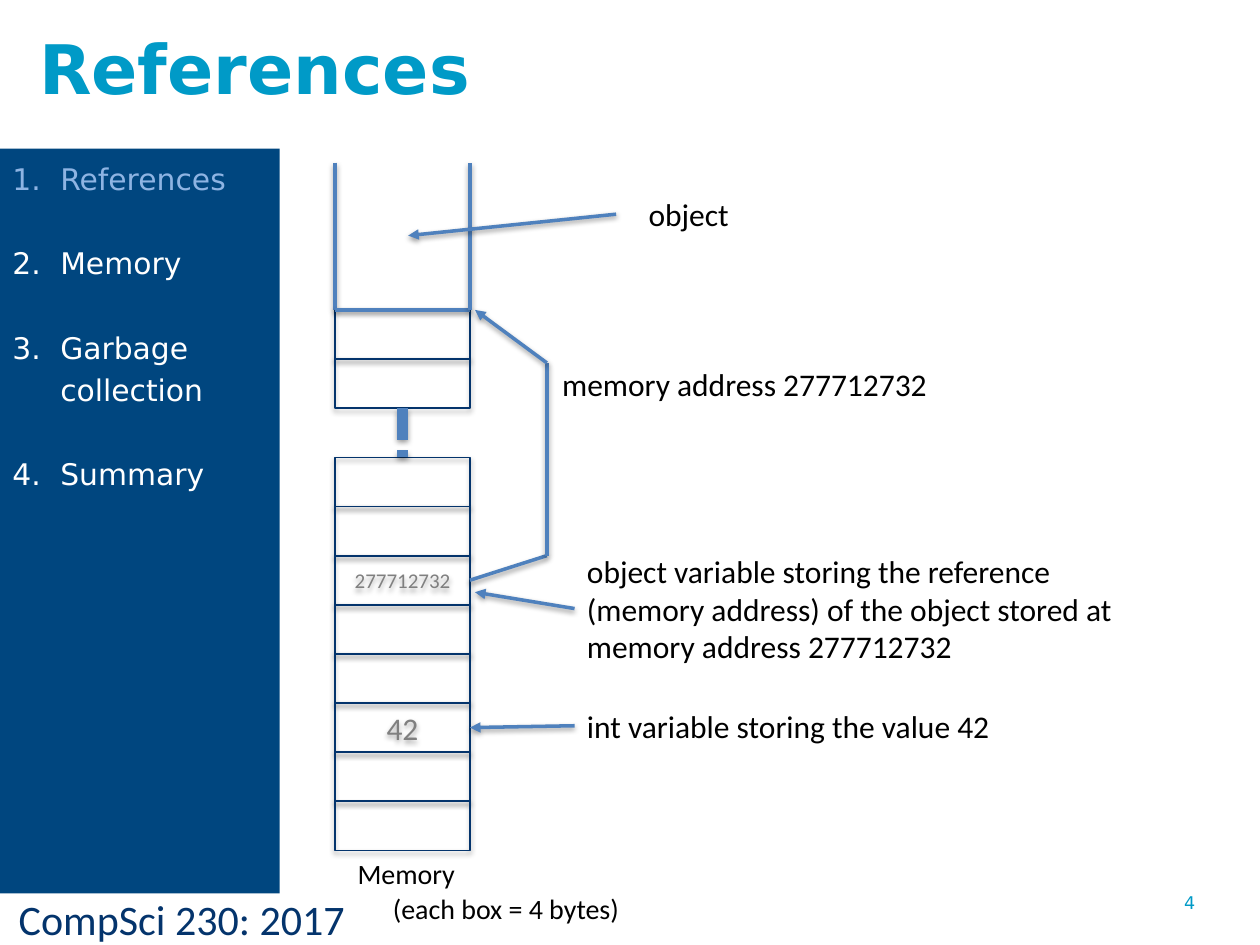
from dataclasses import dataclass
from lxml import etree
from pptx import Presentation
from pptx.dml.color import RGBColor
from pptx.enum.dml import MSO_LINE
from pptx.enum.shapes import MSO_CONNECTOR, MSO_SHAPE
from pptx.enum.text import MSO_ANCHOR, PP_ALIGN
from pptx.oxml.ns import qn
from pptx.util import Inches, Pt

RECT, LINE = MSO_SHAPE.RECTANGLE, MSO_CONNECTOR.STRAIGHT
DOTS = MSO_LINE.SQUARE_DOT
TOP, MID = MSO_ANCHOR.TOP, MSO_ANCHOR.MIDDLE
LEFT, CENTER = PP_ALIGN.LEFT, PP_ALIGN.CENTER
TITLE_ONLY = 5
SIDE_TOP, SIDE_RIGHT, SIDE_BOTTOM = 0, 3, 2


@dataclass(frozen=True)
class Theme:
    head: str = "DejaVu Sans"
    body: str = "Calibri"
    aqua: str = "009AC7"
    navy: str = "04346C"
    panel: str = "00467F"
    faint: str = "8EB4E3"
    white: str = "FFFFFF"
    black: str = "000000"
    gray: str = "808080"
    blue: str = "4F81BD"
    title: int = 39
    foot: int = 24
    label: int = 18
    menu: int = 17
    note: int = 16
    small: int = 12
    page: int = 10


T = Theme()


def rgb(code):
    return RGBColor.from_string(code)


def add_run(para, text, size, color, face=T.body, bold=False):
    run = para.add_run()
    run.text = text
    font = run.font
    font.name, font.size, font.bold = face, Pt(size), bold
    font.color.rgb = rgb(color)


def add_text(slide, box, text, size, color=T.black, face=T.body,
             wrap=True, align=LEFT):
    frame = slide.shapes.add_textbox(*map(Inches, box)).text_frame
    frame.word_wrap = wrap
    para = frame.paragraphs[0]
    para.alignment = align
    add_run(para, text, size, color, face)


def add_shadow(shape, alpha, dist):
    """Soft black shadow straight below; call after fill and line are set."""
    props = shape._element.spPr
    effects = etree.SubElement(props, qn("a:effectLst"))
    outer = etree.SubElement(effects, qn("a:outerShdw"), blurRad=str(Pt(3.1)),
                             dist=str(Pt(dist)), dir="5400000", rotWithShape="0")
    color = etree.SubElement(outer, qn("a:srgbClr"), val=T.black)
    etree.SubElement(color, qn("a:alpha"), val=str(alpha * 1000))


def add_line(slide, start, end, width=2, arrow=False, dash=None,
             begin=None, finish=None):
    line = slide.shapes.add_connector(LINE, *map(Inches, (*start, *end)))
    line.line.color.rgb = rgb(T.blue)
    line.line.width = Pt(width)
    if dash:
        line.line.dash_style = dash
    if arrow:
        etree.SubElement(line.line._ln, qn("a:tailEnd"), type="triangle")
    add_shadow(line, 38, 1.6)
    if begin:
        line.begin_connect(*begin)
    if finish:
        line.end_connect(*finish)


def add_title(slide, box, text):
    title = slide.shapes.title
    title.left, title.top, title.width, title.height = map(Inches, box)
    frame = title.text_frame
    frame.vertical_anchor = MID
    para = frame.paragraphs[0]
    para.alignment = LEFT
    add_run(para, text, T.title, T.aqua, T.head, True)


def add_menu(slide, box, items, active):
    panel = slide.shapes.add_shape(RECT, *map(Inches, box))
    panel.shadow.inherit = False
    panel.fill.solid()
    panel.fill.fore_color.rgb = rgb(T.panel)
    panel.line.fill.background()
    frame = panel.text_frame
    frame.word_wrap = True
    frame.vertical_anchor = TOP
    for i, item in enumerate(items):
        para = frame.add_paragraph() if i else frame.paragraphs[0]
        para.alignment = LEFT
        para.line_spacing = Pt(24)
        para.space_before = Pt(24 if i else 0)
        props = para._p.get_or_add_pPr()
        props.set("marL", str(Inches(0.38)))
        props.set("indent", str(Inches(-0.38)))
        etree.SubElement(props, qn("a:buFont"), typeface=T.head)
        etree.SubElement(props, qn("a:buAutoNum"), type="arabicPeriod")
        color = T.faint if i == active else T.white
        add_run(para, item, T.menu, color, T.head)


def add_cell(slide, box, text, size):
    cell = slide.shapes.add_shape(RECT, *map(Inches, box))
    cell.shadow.inherit = False
    cell._element.spPr.remove(cell._element.spPr.find(qn("a:effectLst")))
    cell.fill.background()
    cell.line.color.rgb = rgb(T.navy)
    cell.line.width = Pt(1)
    add_shadow(cell, 35, 1.8)
    frame = cell.text_frame
    frame.vertical_anchor = MID
    if text:
        frame.margin_left = frame.margin_right = Inches(0.05)
        para = frame.paragraphs[0]
        para.alignment = CENTER
        add_run(para, text, size, T.gray)
    return cell


def add_memory(slide, box):
    """Column of cells under an open-topped object, with its labels."""
    x, y, w, h = box
    right, step = x + w, 0.39
    base = y + h - 11 * step
    gap, ref, num = 2, 5, 8
    values = {ref: ("277712732", T.small), num: ("42", T.label)}

    # Cells; the gap row stands for the memory left out
    cells = {}
    for row in range(11):
        if row != gap:
            text, size = values.get(row, ("", T.label))
            cells[row] = add_cell(slide, (x, base + row * step, w, step),
                                  text, size)
    mid, cut = x + w / 2, base + gap * step
    add_line(slide, (mid, cut), (mid, cut + step), 6, dash=DOTS,
             begin=(cells[gap - 1], SIDE_BOTTOM),
             finish=(cells[gap + 1], SIDE_TOP))

    # Open box of the object
    corners = [(x, y), (x, base), (right, base), (right, y)]
    for start, end in zip(corners, corners[1:]):
        add_line(slide, start, end)

    # Reference from the variable back up to the object
    bend, low, high = x + 1.68, base + 1.95, base + 0.42
    add_line(slide, (right, low + 0.19), (bend, low),
             begin=(cells[ref], SIDE_RIGHT))
    add_line(slide, (bend, low), (bend, high))
    add_line(slide, (bend, high), (right + 0.04, base), arrow=True)

    # Pointers from the labels
    edge = x + 1.9
    add_line(slide, (x + 2.23, y + 0.41), (x + 0.58, y + 0.58), arrow=True)
    add_line(slide, (edge, base + 2.37), (right + 0.04, base + 2.24), arrow=True)
    add_line(slide, (edge, base + 3.3), (right, base + 3.31), arrow=True,
             finish=(cells[num], SIDE_RIGHT))

    # Labels
    add_text(slide, (x + 2.38, y + 0.21, 0.85, 0.4), "object", T.label,
             wrap=False, align=CENTER)
    add_text(slide, (bend, base + step, 3.14, 0.4), "memory address 277712732",
             T.label, wrap=False, align=CENTER)
    add_text(slide, (edge, base + 1.87, 4.62, 1.01),
             "object variable storing the reference (memory address) of the "
             "object stored at memory address 277712732", T.label)
    add_text(slide, (edge, base + 3.1, 4.62, 0.4),
             "int variable storing the value 42", T.label)
    add_text(slide, (x + 0.08, y + h, 0.98, 0.37), "Memory", T.note, wrap=False)
    add_text(slide, (x + 0.36, y + h + 0.28, 2.02, 0.37),
             "(each box = 4 bytes)", T.note, wrap=False)


def main():
    deck = Presentation()
    deck.slide_width, deck.slide_height = Inches(10), Inches(7.5)
    slide = deck.slides.add_slide(deck.slide_layouts[TITLE_ONLY])
    add_title(slide, (0.21, 0.14, 7.13, 0.78), "References")
    add_memory(slide, (2.66, 1.29, 1.07, 5.46))
    add_menu(slide, (0, 1.18, 2.22, 5.91),
             ["References", "Memory", "Garbage collection", "Summary"], 0)
    # Footer
    add_text(slide, (0.05, 7.04, 4.05, 0.5), "CompSci 230: 2017", T.foot, T.navy)
    add_text(slide, (9.3, 7.03, 0.7, 0.52), "4", T.page, T.aqua, T.head)
    deck.save("out.pptx")


if __name__ == "__main__":
    main()
